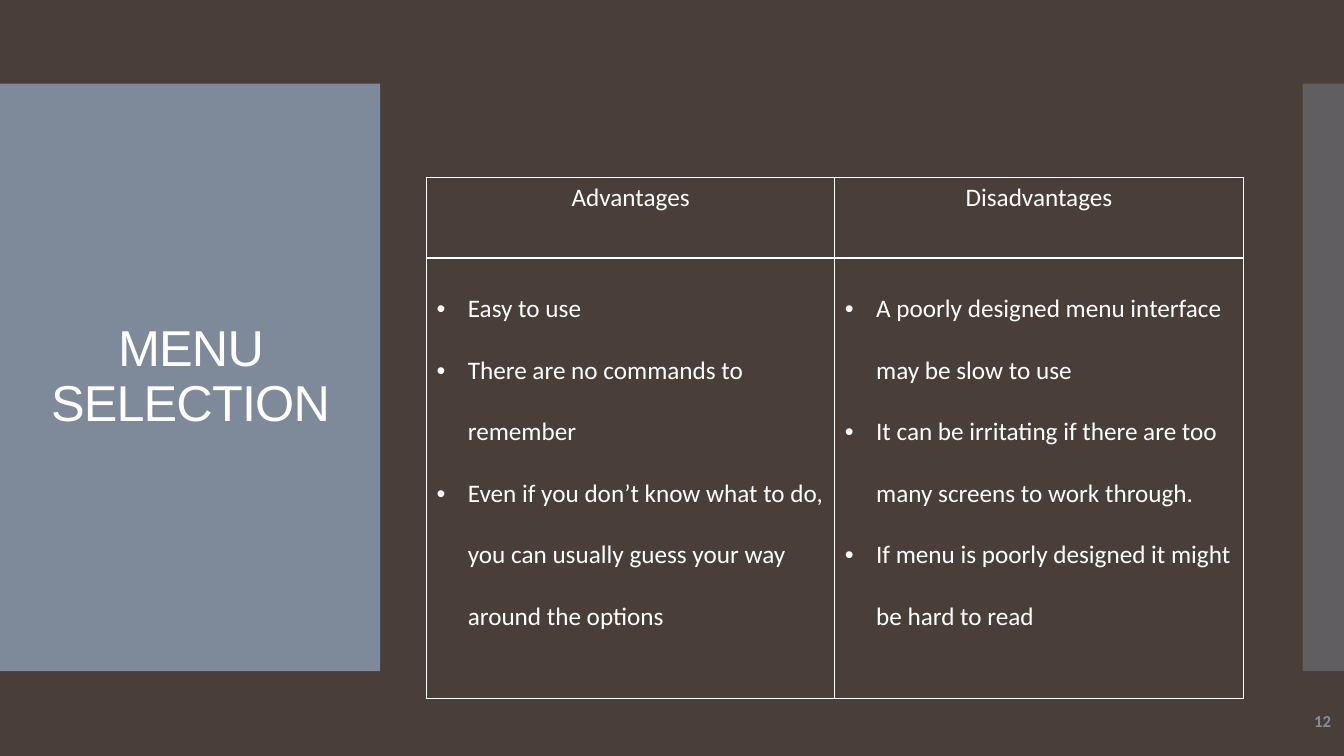
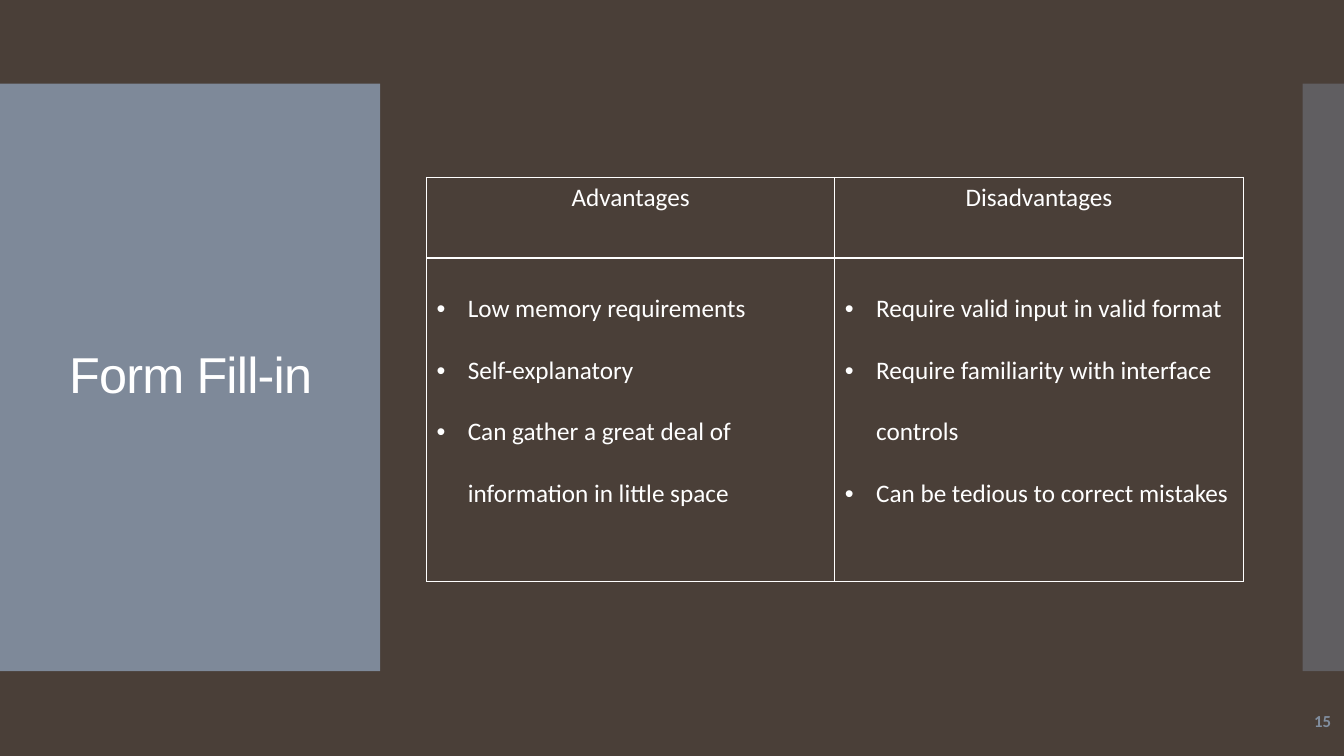
from dataclasses import dataclass
from pptx import Presentation
from pptx.dml.color import RGBColor
from pptx.enum.shapes import MSO_SHAPE
from pptx.enum.text import MSO_ANCHOR, PP_ALIGN
from pptx.oxml import parse_xml
from pptx.oxml.ns import nsdecls, qn
from pptx.util import Inches, Pt
from lxml.etree import SubElement


@dataclass(frozen=True)
class Theme:
    """Colours, fonts and type sizes of the deck."""
    back: str = "4A3F38"
    band: str = "818E9F"
    text: str = "FFFFFF"
    head: str = "Arial"
    body: str = "Calibri"
    title: int = 36
    cell: int = 18
    page: int = 12


THEME = Theme()
DECK = [
    ("MENU SELECTION", "12", 4.37,
     ["Easy to use",
      "There are no commands to remember",
      "Even if you don’t know what to do, you can usually guess your way around the options"],
     ["A poorly designed menu interface may be slow to use",
      "It can be irritating if there are too many screens to work through.",
      "If menu is poorly designed it might be hard to read"]),
    ("Form Fill-in", "15", 3.21,
     ["Low memory requirements",
      "Self-explanatory",
      "Can gather a great deal of information in little space"],
     ["Require valid input in valid format",
      "Require familiarity with interface controls",
      "Can be tedious to correct mistakes"]),
]


def add_run(para, text, font, size, color, bold=False):
    """Append a formatted run to a paragraph and return it."""
    run = para.add_run()
    run.text = text
    run.font.name = font
    run.font.size = Pt(size)
    run.font.bold = bold
    run.font.color.rgb = RGBColor.from_string(color)
    return run


def add_band(slide, left, width, alpha):
    """Draw a translucent side band."""
    band = slide.shapes.add_shape(
        MSO_SHAPE.RECTANGLE, Inches(left), Inches(0.83), Inches(width), Inches(5.83))
    band.shadow.inherit = False
    band.line.fill.background()
    band.fill.solid()
    band.fill.fore_color.rgb = RGBColor.from_string(THEME.band)
    color = band.element.spPr.find(qn("a:solidFill")).find(qn("a:srgbClr"))
    SubElement(color, qn("a:alpha"), val=str(alpha * 1000))


def set_title(slide, text):
    """Place the title placeholder over the left band."""
    title = slide.shapes.title
    title.element.getparent().append(title.element)
    title.left, title.top = Inches(0.28), Inches(1.23)
    title.width, title.height = Inches(3.22), Inches(5.03)
    frame = title.text_frame
    frame.word_wrap = True
    frame.vertical_anchor = MSO_ANCHOR.MIDDLE
    para = frame.paragraphs[0]
    para.alignment = PP_ALIGN.CENTER
    para.line_spacing = 0.9
    run = add_run(para, text, THEME.head, THEME.title, THEME.text)
    run.font._element.set("spc", "-60")


def add_page(slide, text):
    """Write the page number at the lower right."""
    box = slide.shapes.add_textbox(Inches(11.63), Inches(6.95), Inches(1.67), Inches(0.4))
    frame = box.text_frame
    frame.word_wrap = True
    frame.vertical_anchor = MSO_ANCHOR.MIDDLE
    para = frame.paragraphs[0]
    para.alignment = PP_ALIGN.RIGHT
    add_run(para, text, THEME.body, THEME.page, THEME.band, True)


def style_cell(cell):
    """Clear a cell's fill and rule its four sides."""
    cell.fill.background()
    props = cell._tc.get_or_add_tcPr()
    for spot, side in enumerate("LRTB"):
        props.insert(spot, parse_xml(
            f'<a:ln{side} {nsdecls("a")} w="{Pt(1)}"><a:solidFill>'
            f'<a:srgbClr val="{THEME.text}"/></a:solidFill></a:ln{side}>'))


def add_list(frame, items):
    """Fill a text frame with double-spaced bullets."""
    for spot, item in enumerate(items):
        para = frame.add_paragraph() if spot else frame.paragraphs[0]
        para.line_spacing = 2.0
        props = para._p.get_or_add_pPr()
        props.set("marL", str(Inches(0.31)))
        props.set("indent", str(-Inches(0.31)))
        SubElement(props, qn("a:buFont"), typeface=THEME.head)
        SubElement(props, qn("a:buChar"), char="•")
        add_run(para, item, THEME.body, THEME.cell, THEME.text)


def add_grid(slide, height, pros, cons):
    """Build the table of advantages and disadvantages."""
    grid = slide.shapes.add_table(
        2, 2, Inches(4.23), Inches(1.76), Inches(8.1), Inches(0.8 + height)).table
    grid.first_row = grid.horz_banding = False
    grid.rows[0].height = Inches(0.8)
    grid.rows[1].height = Inches(height)
    for col, (name, items) in enumerate([("Advantages", pros), ("Disadvantages", cons)]):
        grid.columns[col].width = Inches(4.05)
        top, low = grid.cell(0, col), grid.cell(1, col)
        style_cell(top)
        style_cell(low)
        para = top.text_frame.paragraphs[0]
        para.alignment = PP_ALIGN.CENTER
        add_run(para, name, THEME.body, THEME.cell, THEME.text)
        add_list(low.text_frame, items)


def add_slide(deck, title, page, height, pros, cons):
    """Add one comparison slide."""
    slide = deck.slides.add_slide(deck.slide_layouts[5])
    add_band(slide, 0, 3.77, 95)
    add_band(slide, 12.92, 0.42, 40)
    set_title(slide, title)
    add_grid(slide, height, pros, cons)
    add_page(slide, page)


def main():
    """Build and save the deck."""
    deck = Presentation()
    deck.slide_width, deck.slide_height = Inches(13.33), Inches(7.5)
    fill = deck.slide_master.background.fill
    fill.solid()
    fill.fore_color.rgb = RGBColor.from_string(THEME.back)
    for entry in DECK:
        add_slide(deck, *entry)
    deck.save("out.pptx")


if __name__ == "__main__":
    main()
